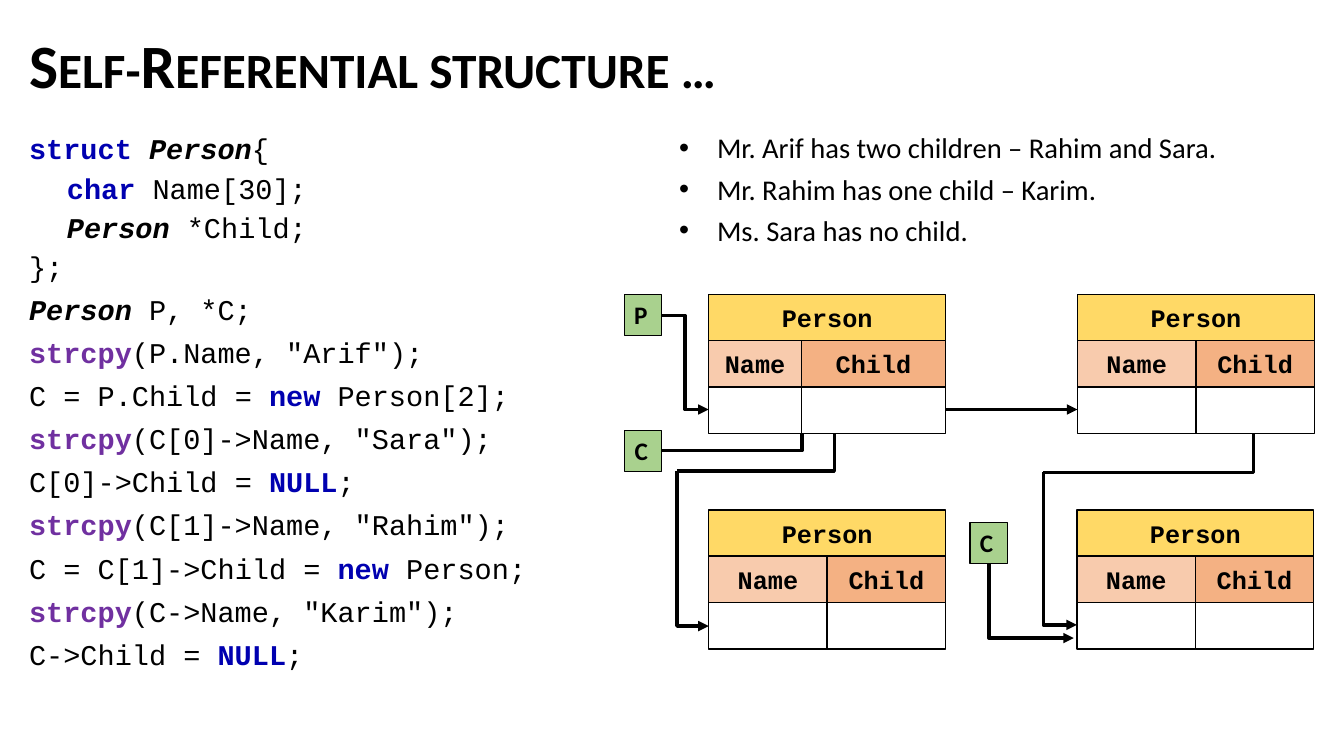
from lxml import etree
from pptx import Presentation
from pptx import util as u
from pptx.dml.color import RGBColor
from pptx.enum import shapes, text
from pptx.oxml.ns import qn

MONO, SANS = "Courier New", "Calibri"
BLACK, WHITE, BLUE, PURPLE = "000000", "FFFFFF", "0000B0", "7030A0"
GOLD, PEACH, ORANGE, GREEN = "FFD966", "F8CBAD", "F4B183", "A9D18E"
WIDTH, ROW = 169.2, 33.1

STYLES = {
    "plain": (BLACK, False, False),
    "key": (BLUE, True, False),
    "type": (BLACK, True, True),
    "func": (PURPLE, True, False),
}
CODE = [
    (0, 0.74, [("struct ", "key"), ("Person", "type"), ("{", "plain")]),
    (27, 0.74, [("char", "key"), (" Name[30];", "plain")]),
    (27, 0.74, [("Person", "type"), (" *Child;", "plain")]),
    (0, 0.74, [("};", "plain")]),
    (0, 0.85, [("Person", "type"), (" P, *C;", "plain")]),
    (0, 0.85, [("strcpy", "func"), ('(P.Name, "Arif");', "plain")]),
    (0, 0.85, [("C = P.Child = ", "plain"), ("new", "key"), (" Person[2];", "plain")]),
    (0, 0.85, [("strcpy", "func"), ('(C[0]->Name, "Sara");', "plain")]),
    (0, 0.85, [("C[0]->Child = ", "plain"), ("NULL", "key"), (";", "plain")]),
    (0, 0.85, [("strcpy", "func"), ('(C[1]->Name, "Rahim");', "plain")]),
    (0, 0.85, [("C = C[1]->Child = ", "plain"), ("new", "key"), (" Person;", "plain")]),
    (0, 0.85, [("strcpy", "func"), ('(C->Name, "Karim");', "plain")]),
    (0, 0.85, [("C->Child = ", "plain"), ("NULL", "key"), (";", "plain")]),
]
FACTS = [
    "Mr. Arif has two children – Rahim and Sara.",
    "Mr. Rahim has one child – Karim.",
    "Ms. Sara has no child.",
]
CARDS = [
    (506.2, 210.2, 66.2),
    (769.6, 210.2, 84.6),
    (506.2, 364.2, 84.6),
    (769.2, 364.2, 84.6),
]
WIRES = [
    ((654.5, 292.5), (769.6, 292.5), None, True),
    ((596, 292.5), (483.6, 336.5), 0, False),
    ((483.6, 336.5), (506.2, 447.2), 0, True),
    ((895.4, 292.5), (745.2, 337.5), 0, False),
    ((745.2, 337.5), (769.2, 446.4), 0, True),
    ((472.5, 321.8), (573, 292.5), 100000, False),
    ((706.5, 402.5), (767, 455.8), 0, True),
    ((472.5, 225.4), (506.2, 292.5), 50000, True),
]
TAGS = [("P", 445.9, 210.4), ("C", 446.2, 307.6), ("C", 692.9, 373.2)]


def color(code):
    return RGBColor.from_string(code)


def add_run(para, words, size, face, hue=BLACK, bold=False, ital=False):
    run = para.add_run()
    run.text = words
    font = run.font
    font.size, font.name = u.Pt(size), face
    font.bold, font.italic = bold, ital
    font.color.rgb = color(hue)
    return run


def add_box(slide, left, top, width, height):
    box = slide.shapes.add_textbox(u.Pt(left), u.Pt(top), u.Pt(width), u.Pt(height))
    box.text_frame.word_wrap = True
    return box.text_frame


def add_para(frame, first, space):
    para = frame.paragraphs[0] if first else frame.add_paragraph()
    para.line_spacing = space
    para.space_before = u.Pt(0 if first else 10)
    return para


def indent(para, left, hang=0):
    props = para._p.get_or_add_pPr()
    props.set("marL", str(u.Pt(left)))
    props.set("indent", str(u.Pt(-hang)))
    return props


def add_title(slide, words):
    frame = add_box(slide, 13.7, 14.4, 930, 69)
    frame.vertical_anchor = text.MSO_ANCHOR.MIDDLE
    para = add_para(frame, True, 0.9)
    run = add_run(para, words, 44, SANS, bold=True)
    run.font._element.set("cap", "small")


def add_code(slide):
    frame = add_box(slide, 13.7, 96, 430, 392)
    for row, (left, space, parts) in enumerate(CODE):
        para = add_para(frame, row == 0, space)
        indent(para, left)
        for words, style in parts:
            add_run(para, words, 20.4, MONO, *STYLES[style])


def add_facts(slide):
    frame = add_box(slide, 478.1, 94.3, 466.6, 99.4)
    for row, words in enumerate(FACTS):
        para = add_para(frame, row == 0, 0.8)
        props = indent(para, 27, 27)
        etree.SubElement(props, qn("a:buFont")).set("typeface", "Arial")
        etree.SubElement(props, qn("a:buChar")).set("char", "•")
        add_run(para, words, 20.4, SANS)


def add_rect(slide, left, top, width, height, fill, line=1):
    rect = slide.shapes.add_shape(
        shapes.MSO_SHAPE.RECTANGLE, u.Pt(left), u.Pt(top), u.Pt(width), u.Pt(height))
    rect.shadow.inherit = False
    rect.fill.solid()
    rect.fill.fore_color.rgb = color(fill)
    rect.line.color.rgb = color(BLACK)
    rect.line.width = u.Pt(line)
    return rect


def add_cell(slide, left, top, width, fill, label=""):
    cell = add_rect(slide, left, top, width, ROW, fill)
    if label:
        frame = cell.text_frame
        frame.vertical_anchor = text.MSO_ANCHOR.MIDDLE
        para = frame.paragraphs[0]
        para.alignment = text.PP_ALIGN.CENTER
        add_run(para, label, 18, MONO, bold=True)


def add_card(slide, left, top, split):
    add_cell(slide, left, top, WIDTH, GOLD, "Person")
    halves = [(left, split, PEACH, "Name"), (left + split, WIDTH - split, ORANGE, "Child")]
    for start, width, fill, label in halves:
        add_cell(slide, start, top + ROW, width, fill, label)
        add_cell(slide, start, top + 2 * ROW, width, WHITE)


def add_tag(slide, label, left, top):
    tag = add_rect(slide, left, top, 26.6, 29.1, GREEN, 0.75)
    frame = tag.text_frame
    frame.word_wrap = False
    frame.vertical_anchor = text.MSO_ANCHOR.TOP
    para = frame.paragraphs[0]
    para.alignment = text.PP_ALIGN.LEFT
    add_run(para, label, 18, SANS, bold=True)


def add_wire(slide, start, end, bend, arrow):
    kind = shapes.MSO_CONNECTOR.STRAIGHT if bend is None else shapes.MSO_CONNECTOR.ELBOW
    wire = slide.shapes.add_connector(kind, *[u.Pt(n) for n in start + end])
    wire.line.color.rgb = color(BLACK)
    wire.line.width = u.Pt(2.5)
    props = wire._element.spPr
    if bend is not None:
        guide = etree.SubElement(props.find(".//" + qn("a:avLst")), qn("a:gd"))
        guide.set("name", "adj1")
        guide.set("fmla", f"val {bend}")
    if arrow:
        etree.SubElement(wire.line._get_or_add_ln(), qn("a:tailEnd")).set("type", "triangle")
    etree.SubElement(props, qn("a:effectLst"))


def main():
    deck = Presentation()
    deck.slide_width, deck.slide_height = u.Pt(960), u.Pt(540)
    slide = deck.slides.add_slide(deck.slide_layouts[6])
    add_title(slide, "Self-Referential structure …")
    add_code(slide)
    add_facts(slide)
    for wire in WIRES:
        add_wire(slide, *wire)
    for card in CARDS:
        add_card(slide, *card)
    for tag in TAGS:
        add_tag(slide, *tag)
    deck.save("out.pptx")


main()
